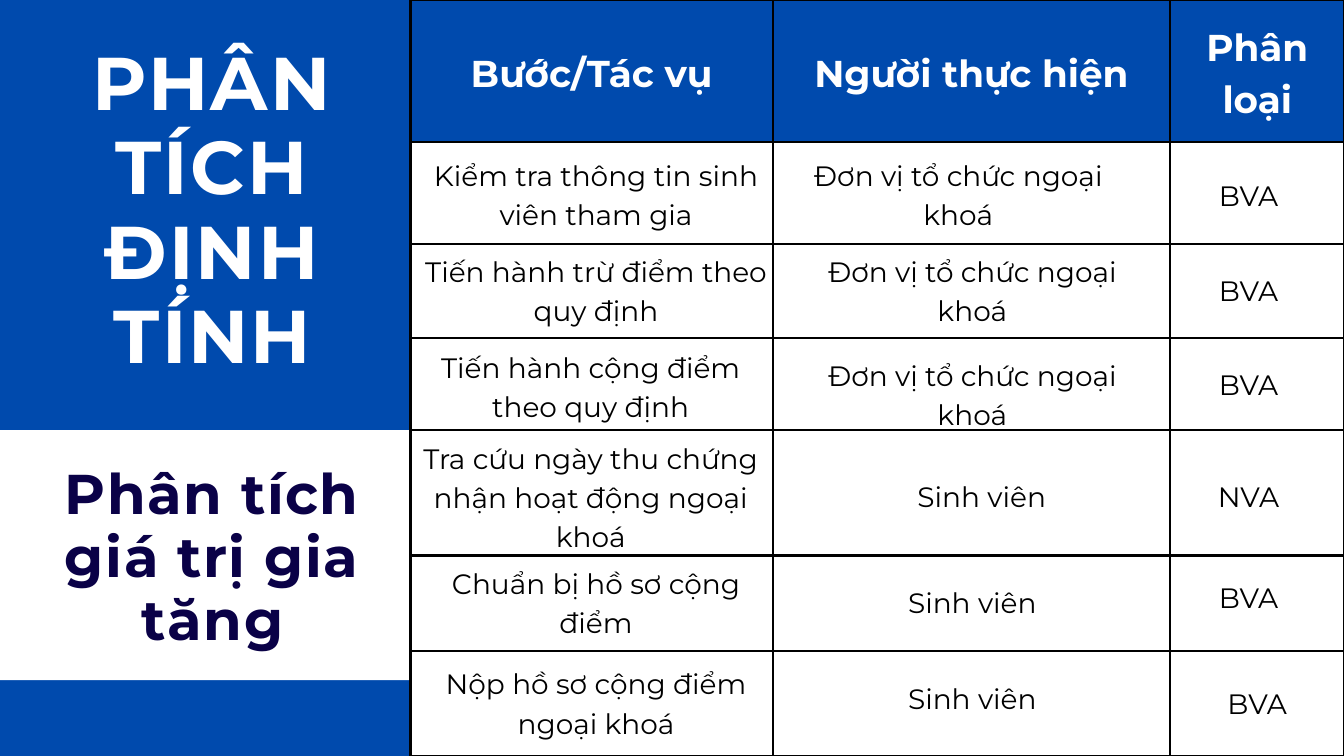
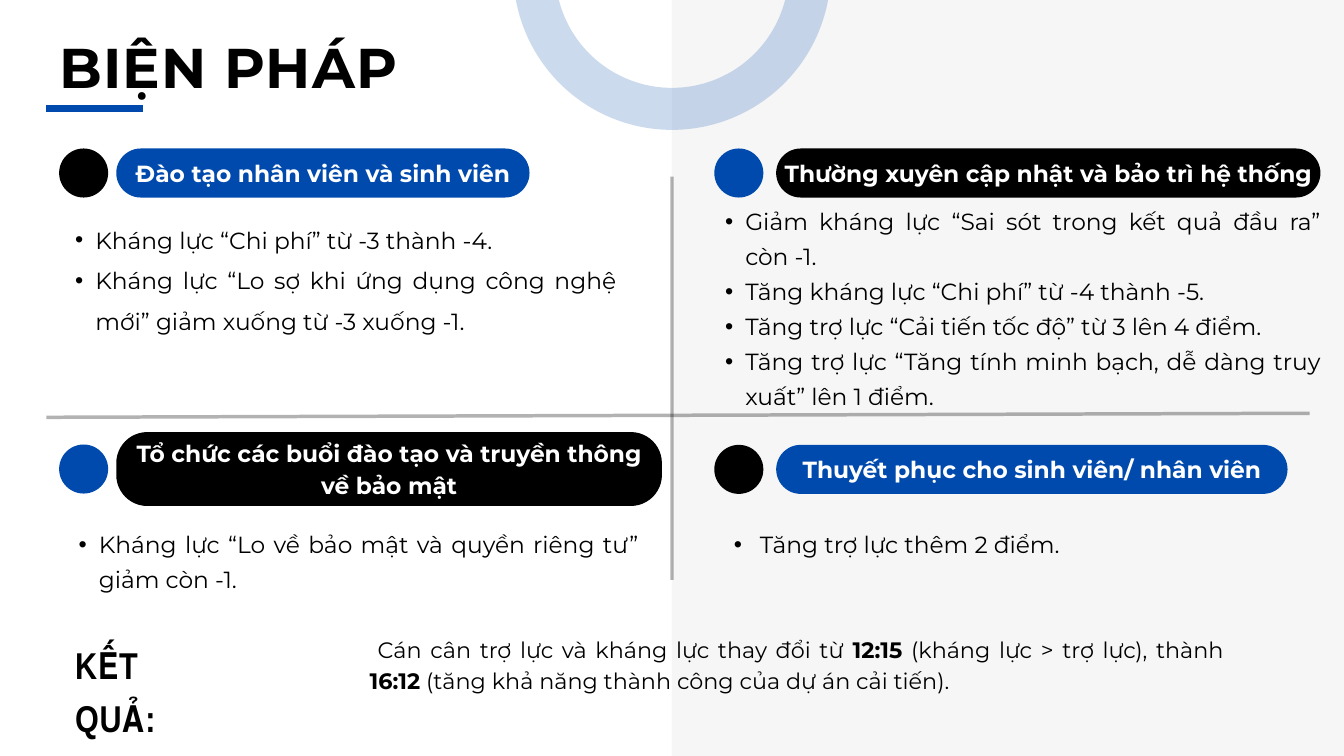
from dataclasses import dataclass
from typing import Any, NamedTuple, Optional, Sequence

from lxml.etree import SubElement
from pptx import Presentation
from pptx.dml.color import RGBColor
from pptx.enum.shapes import MSO_CONNECTOR as Connector, MSO_SHAPE as Preset
from pptx.enum.text import MSO_ANCHOR as Anchor, MSO_AUTO_SIZE as AutoSize, PP_ALIGN as Align
from pptx.oxml.ns import qn
from pptx.util import Inches, Pt


@dataclass(frozen=True)
class Theme:
    blue: RGBColor = RGBColor(0x00, 0x4A, 0xAD)
    navy: RGBColor = RGBColor(0x0A, 0x01, 0x47)
    black: RGBColor = RGBColor(0x00, 0x00, 0x00)
    white: RGBColor = RGBColor(0xFF, 0xFF, 0xFF)
    gray: RGBColor = RGBColor(0xF6, 0xF6, 0xF6)
    font: str = "Montserrat"
    narrow: str = "Arial Narrow"
    display: float = 80
    title: float = 60
    heading: float = 40
    cell: float = 30
    body: float = 25
    result: float = 23.9


THEME = Theme()


class Box(NamedTuple):
    left: float
    top: float
    width: float
    height: float


class Style(NamedTuple):
    size: float
    leading: float
    color: RGBColor = THEME.black
    bold: bool = False
    align: Align = Align.CENTER
    spacing: float = 0
    font: str = THEME.font


class Run(NamedTuple):
    text: str
    bold: Optional[bool] = None


class Indent(NamedTuple):
    left: float
    first: float
    bullet: bool = True


class Label(NamedTuple):
    text: str
    left: float
    top: float
    lines: int = 1


class Step(NamedTuple):
    height: float
    task: Label
    performer: Label
    category: Label


class Measure(NamedTuple):
    heading: str
    pill: Box
    fill: RGBColor
    dot_fill: RGBColor
    notes: Box
    leading: float
    points: Sequence[str]
    indent: Indent = Indent(0.59, -0.3)


DISPLAY = Style(THEME.display, 90.4, THEME.white, True, spacing=2.2)
SUBTITLE = Style(THEME.title, 67.8, THEME.navy, True, spacing=1.7)
TITLE = Style(THEME.title, 84, bold=True, align=Align.LEFT, spacing=1.2)
HEADER = Style(THEME.heading, 56, THEME.white, True)
CELL = Style(THEME.cell, 42)
PILL = Style(THEME.body, 35, THEME.white, True)
RESULT_TITLE = Style(THEME.heading, 56, bold=True, align=Align.LEFT, spacing=0.8, font=THEME.narrow)
RESULT = Style(THEME.result, 33.5, align=Align.JUSTIFY)

PANEL_WIDTH = 6.11
DOT_SIZE = 0.73
PILL_LIFT = 0.07
HEADERS = ("Bước/Tác vụ", "Người thực hiện", "Phân loại")
COLUMN_WIDTHS = (5.39, 5.91, 2.6)
LABEL_WIDTHS = (5.1, 5.26, 1.4)
HEADER_HEIGHT = 2.11
ORGANIZER = "Đơn vị tổ chức ngoại khoá"
STUDENT = "Sinh viên"

STEPS = (
    Step(1.52, Label("Kiểm tra thông tin sinh viên tham gia", 6.32, 2.28, 2),
         Label(ORGANIZER, 11.63, 2.28, 2), Label("BVA", 17.88, 2.57)),
    Step(1.4, Label("Tiến hành trừ điểm theo quy định", 6.32, 3.7, 2),
         Label(ORGANIZER, 11.84, 3.7, 2), Label("BVA", 17.88, 3.99)),
    Step(1.37, Label("Tiến hành cộng điểm theo quy định", 6.24, 5.13, 2),
         Label(ORGANIZER, 11.84, 5.25, 2), Label("BVA", 17.88, 5.38)),
    Step(1.87, Label("Tra cứu ngày thu chứng nhận hoạt động ngoại khoá", 6.24, 6.48, 3),
         Label(STUDENT, 11.98, 7.06), Label("NVA", 17.88, 7.06)),
    Step(1.42, Label("Chuẩn bị hồ sơ cộng điểm", 6.32, 8.34, 2),
         Label(STUDENT, 11.84, 8.63), Label("BVA", 17.88, 8.56)),
    Step(1.56, Label("Nộp hồ sơ cộng điểm ngoại khoá", 6.32, 9.84, 2),
         Label(STUDENT, 11.84, 10.06), Label("BVA", 18.01, 10.14)),
)

MEASURES = (
    Measure("Đào tạo nhân viên và sinh viên", Box(1.73, 2.21, 6.15, 0.73),
            THEME.blue, THEME.black, Box(0.83, 3.17, 8.34, 1.76), 43.7,
            ("Kháng lực “Chi phí” từ -3 thành -4.",
             "Kháng lực “Lo sợ khi ứng dụng công nghệ mới” giảm xuống từ -3 xuống -1.")),
    Measure("Thường xuyên cập nhật và bảo trì hệ thống", Box(11.55, 2.21, 8.1, 0.73),
            THEME.black, THEME.blue, Box(10.5, 2.98, 9.15, 3.03), 37.5,
            ("Giảm kháng lực “Sai sót trong kết quả đầu ra” còn -1.",
             "Tăng kháng lực “Chi phí” từ -4 thành -5.",
             "Tăng trợ lực “Cải tiến tốc độ” từ 3 lên 4 điểm.",
             "Tăng trợ lực “Tăng tính minh bạch, dễ dàng truy xuất” lên 1 điểm.")),
    Measure("Tổ chức các buổi đào tạo và truyền thông về bảo mật", Box(1.73, 6.43, 8.12, 1.1),
            THEME.black, THEME.blue, Box(0.88, 7.79, 8.62, 0.99), 37.5,
            ("Kháng lực “Lo về bảo mật và quyền riêng tư” giảm còn -1.",)),
    Measure("Thuyết phục cho sinh viên/ nhân viên", Box(11.55, 6.62, 7.61, 0.73),
            THEME.blue, THEME.black, Box(10.63, 7.79, 8.34, 0.99), 37.5,
            ("Tăng trợ lực thêm 2 điểm.",), Indent(0.68, -0.39)),
)

RESULT_RUNS = (
    Run("Cán cân trợ lực và kháng lực thay đổi từ "),
    Run("12:15", True),
    Run(" (kháng lực > trợ lực), thành "),
    Run("16:12", True),
    Run(" (tăng khả năng thành công của dự án cải tiến)."),
)


def apply(target: Any, values: dict[str, Any]) -> None:
    for name, value in values.items():
        setattr(target, name, value)


def margins(size: float) -> dict[str, Any]:
    names = ("margin_left", "margin_top", "margin_right", "margin_bottom")
    return dict.fromkeys(names, Inches(size))


GROWING = {"word_wrap": True, "auto_size": AutoSize.SHAPE_TO_FIT_TEXT, **margins(0)}
CENTERED = {"word_wrap": True, "auto_size": AutoSize.NONE,
            "vertical_anchor": Anchor.MIDDLE, **margins(0.06)}


def write(frame: Any, paragraphs: Sequence[Sequence[Run]], style: Style,
          indent: Optional[Indent] = None) -> None:
    for index, runs in enumerate(paragraphs):
        paragraph = frame.add_paragraph() if index else frame.paragraphs[0]
        apply(paragraph, {"alignment": style.align, "line_spacing": Pt(style.leading)})
        if indent:
            properties = paragraph._p.get_or_add_pPr()
            properties.set("marL", str(Inches(indent.left)))
            properties.set("indent", str(Inches(indent.first)))
            if indent.bullet:
                SubElement(properties, qn("a:buFont"), typeface="Arial")
                SubElement(properties, qn("a:buChar"), char="•")
        for part in runs:
            run = paragraph.add_run()
            run.text = part.text
            bold = style.bold if part.bold is None else part.bold
            apply(run.font, {"name": style.font, "size": Pt(style.size), "bold": bold})
            run.font.color.rgb = style.color
            if style.spacing:
                run._r.get_or_add_rPr().set("spc", str(round(style.spacing * 100)))


def add_text(slide: Any, box: Box, paragraphs: Sequence[Sequence[Run]], style: Style,
             indent: Optional[Indent] = None, layout: dict[str, Any] = GROWING) -> None:
    frame = slide.shapes.add_textbox(*map(Inches, box)).text_frame
    apply(frame, layout)
    write(frame, paragraphs, style, indent)


def add_filled(slide: Any, preset: Preset, box: Box, color: RGBColor) -> Any:
    shape = slide.shapes.add_shape(preset, *map(Inches, box))
    shape.shadow.inherit = False
    shape.fill.solid()
    shape.fill.fore_color.rgb = color
    shape.line.fill.background()
    return shape


def set_line(shape: Any, color: RGBColor, width: float, opacity: int = 100) -> None:
    shape.line.width = Pt(width)
    shape.line.color.rgb = color
    if opacity < 100:
        for element in shape._element.spPr.iter(qn("a:srgbClr")):
            SubElement(element, qn("a:alpha"), val=str(opacity * 1000))


def add_rule(slide: Any, start: tuple[float, float], end: tuple[float, float],
             color: RGBColor, width: float, opacity: int = 100) -> None:
    connector = slide.shapes.add_connector(Connector.STRAIGHT, *map(Inches, start + end))
    set_line(connector, color, width, opacity)
    SubElement(connector._element.spPr, qn("a:effectLst"))


def add_borders(cell: Any) -> None:
    properties = cell._tc.get_or_add_tcPr()
    for side in ("lnL", "lnR", "lnT", "lnB"):
        line = SubElement(properties, qn(f"a:{side}"), w=str(Pt(3)))
        fill = SubElement(line, qn("a:solidFill"))
        SubElement(fill, qn("a:srgbClr"), val=str(THEME.black))


def add_step_table(slide: Any) -> None:
    heights = (HEADER_HEIGHT, *(step.height for step in STEPS))
    box = Box(PANEL_WIDTH, 0, sum(COLUMN_WIDTHS), sum(heights))
    table = slide.shapes.add_table(len(heights), len(HEADERS), *map(Inches, box)).table
    apply(table, {"first_row": False, "horz_banding": False})
    for column, width in zip(table.columns, COLUMN_WIDTHS):
        column.width = Inches(width)
    for row, height in zip(table.rows, heights):
        row.height = Inches(height)
    for cell in table.iter_cells():
        add_borders(cell)
        cell.fill.background()
    for cell, header in zip(table.rows[0].cells, HEADERS):
        cell.fill.solid()
        cell.fill.fore_color.rgb = THEME.blue
        apply(cell, {"vertical_anchor": Anchor.MIDDLE, **margins(0.21)})
        write(cell.text_frame, [[Run(header)]], HEADER)
    for step in STEPS:
        for label, width in zip((step.task, step.performer, step.category), LABEL_WIDTHS):
            height = 0.56 + (label.lines - 1) * CELL.leading / 72
            add_text(slide, Box(label.left, label.top, width, height), [[Run(label.text)]], CELL)


def add_measure(slide: Any, measure: Measure) -> None:
    left, top, width, height = measure.pill
    pill = add_filled(slide, Preset.ROUNDED_RECTANGLE, measure.pill, measure.fill)
    pill.adjustments[0] = 0.5 if height == DOT_SIZE else 0.42
    heading_box = Box(left, top - PILL_LIFT, width, height + PILL_LIFT)
    add_text(slide, heading_box, [[Run(measure.heading)]], PILL, layout=CENTERED)
    dot_left = 0.88 if left < 10 else 10.63
    dot_top = top + (height - DOT_SIZE) / 2
    add_filled(slide, Preset.OVAL, Box(dot_left, dot_top, DOT_SIZE, DOT_SIZE), measure.dot_fill)
    style = Style(THEME.body, measure.leading, align=Align.JUSTIFY)
    add_text(slide, measure.notes, [[Run(point)] for point in measure.points], style,
             measure.indent)


def build_analysis(slide: Any) -> None:
    add_filled(slide, Preset.RECTANGLE, Box(0, 0, PANEL_WIDTH, 11.25), THEME.blue)
    add_filled(slide, Preset.RECTANGLE, Box(0, 6.4, PANEL_WIDTH, 3.72), THEME.white)
    add_text(slide, Box(0.22, 0.61, 5.89, 5.02), [[Run("PHÂN TÍCH ĐỊNH TÍNH")]], DISPLAY)
    add_text(slide, Box(0.22, 6.88, 5.89, 2.82), [[Run("Phân tích giá trị gia tăng")]], SUBTITLE)
    add_step_table(slide)


def build_measures(slide: Any) -> None:
    add_filled(slide, Preset.RECTANGLE, Box(10, 0, 10, 11.25), THEME.gray)
    add_rule(slide, (0.69, 6.21), (19.49, 6.15), THEME.black, 3.75, 30)
    add_rule(slide, (10, 2.63), (10, 8.63), THEME.black, 3.75, 30)
    add_rule(slide, (0.69, 1.61), (2.13, 1.61), THEME.blue, 7.5)
    add_text(slide, Box(0.88, 0.32, 11.78, 1.12), [[Run("BIỆN PHÁP")]], TITLE)
    ring = add_filled(slide, Preset.OVAL, Box(7.95, -2.48, 4.1, 4.1), THEME.white)
    ring.fill.background()
    set_line(ring, THEME.blue, 45, 20)
    for measure in MEASURES:
        add_measure(slide, measure)
    add_text(slide, Box(1.12, 9.45, 2.26, 0.75), [[Run("KẾT QUẢ:")]], RESULT_TITLE)
    add_text(slide, Box(5.5, 9.4, 12.71, 0.89), [RESULT_RUNS], RESULT, Indent(0, 0.12, False))


def main() -> None:
    presentation = Presentation()
    apply(presentation, {"slide_width": Inches(20), "slide_height": Inches(11.25)})
    for build in (build_analysis, build_measures):
        build(presentation.slides.add_slide(presentation.slide_layouts[6]))
    presentation.save("out.pptx")


if __name__ == "__main__":
    main()
